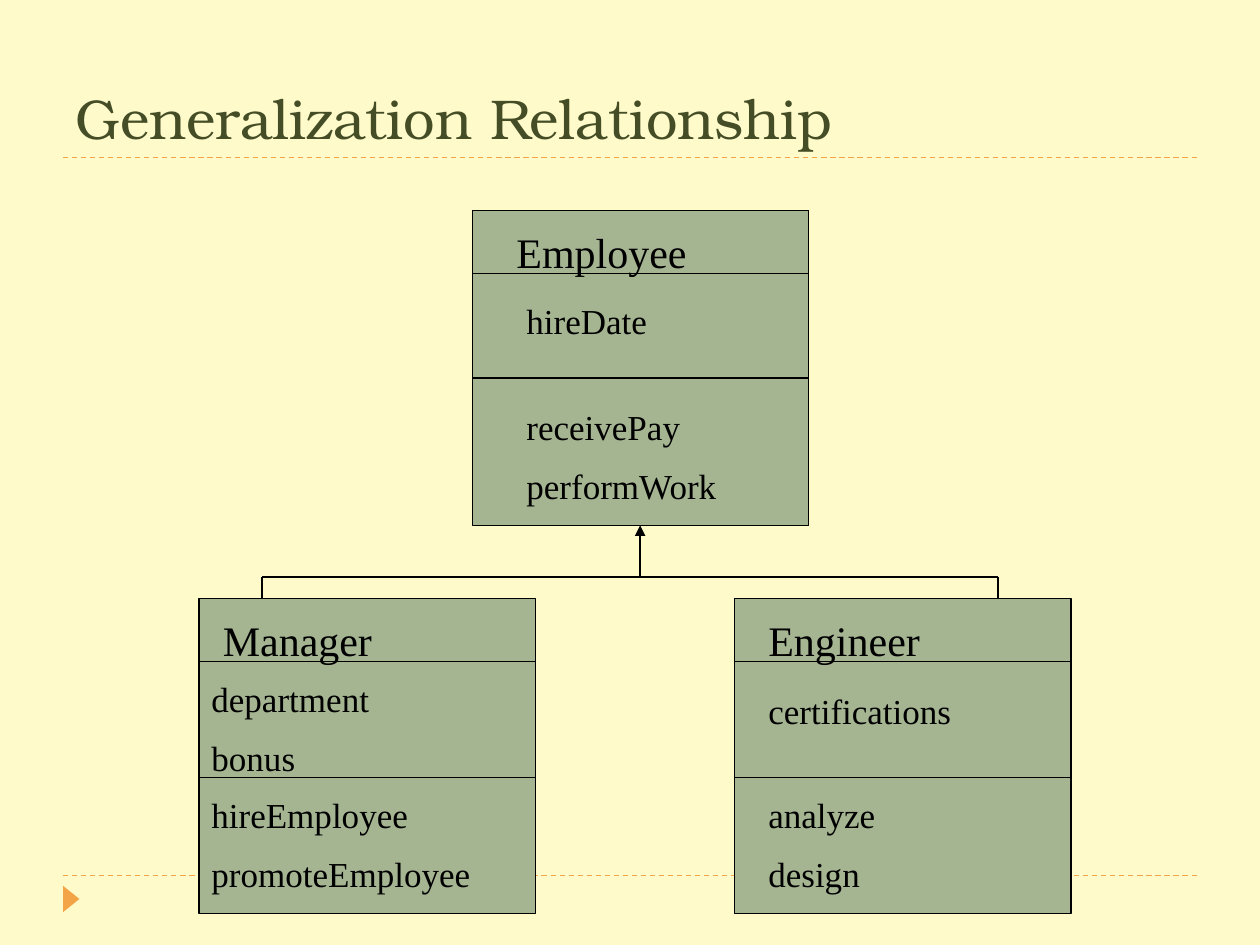
from lxml import etree
from pptx import Presentation
from pptx.dml.color import RGBColor
from pptx.enum.dml import MSO_LINE
from pptx.enum.shapes import MSO_CONNECTOR, MSO_SHAPE
from pptx.enum.text import MSO_ANCHOR, PP_ALIGN
from pptx.oxml.ns import qn
from pptx.util import Inches, Pt

STRAIGHT = MSO_CONNECTOR.STRAIGHT
RECTANGLE = MSO_SHAPE.RECTANGLE
TRIANGLE = MSO_SHAPE.ISOSCELES_TRIANGLE
DASH = MSO_LINE.DASH
BOTTOM = MSO_ANCHOR.BOTTOM
TOP = MSO_ANCHOR.TOP
LEFT = PP_ALIGN.LEFT

CREAM, ORANGE, GREEN, OLIVE, BLACK = "FEFAC9", "F3A447", "A5B592", "444D26", "000000"
TITLE_FONT = {"name": "TeX Gyre Bonum", "size": Pt(32), "bold": False}
NAME_FONT = {"name": "Times New Roman", "size": Pt(24)}
MEMBER_FONT = {"name": "Times New Roman", "size": Pt(20)}
CLASS_W, CLASS_H, NAME_H = 2.67, 2.5, 0.5

CLASSES = [
    {"box": (3.75, 1.67), "divider": 1.33, "texts": [
        (0.25, 0.08, ["Employee"], NAME_FONT),
        (0.33, 0.66, ["hireDate"], MEMBER_FONT),
        (0.33, 1.5, ["receivePay", "performWork"], MEMBER_FONT)]},
    {"box": (1.58, 4.75), "divider": 1.42, "texts": [
        (0.09, 0.08, ["Manager"], NAME_FONT),
        (0, 0.58, ["department", "bonus"], MEMBER_FONT),
        (0, 1.5, ["hireEmployee", "promoteEmployee"], MEMBER_FONT)]},
    {"box": (5.83, 4.75), "divider": 1.42, "texts": [
        (0.17, 0.08, ["Engineer"], NAME_FONT),
        (0.17, 0.67, ["certifications"], MEMBER_FONT),
        (0.17, 1.5, ["analyze", "design"], MEMBER_FONT)]},
]


def rgb(value):
    return RGBColor.from_string(value)


def style_font(font, values, color):
    for key, value in values.items():
        setattr(font, key, value)
    font.color.rgb = rgb(color)


def add_line(s, x1, y1, x2, y2, color=BLACK, dash=None, arrow=False):
    line = s.shapes.add_connector(
        STRAIGHT, Inches(x1), Inches(y1), Inches(x2), Inches(y2))
    line.line.color.rgb = rgb(color)
    line.line.width = Pt(0.75)
    if dash:
        line.line.dash_style = dash
    if arrow:
        ln = line.line._get_or_add_ln()
        etree.SubElement(ln, qn("a:tailEnd"), type="triangle")
    etree.SubElement(line._element.spPr, qn("a:effectLst"))


def add_solid(s, kind, x, y, w, h, fill, border=None):
    sp = s.shapes.add_shape(kind, Inches(x), Inches(y), Inches(w), Inches(h))
    sp.shadow.inherit = False
    sp.fill.solid()
    sp.fill.fore_color.rgb = rgb(fill)
    if border:
        sp.line.color.rgb = rgb(border)
        sp.line.width = Pt(0.75)
    else:
        sp.line.fill.background()
    return sp


def add_text(s, x, y, w, h, lines, font):
    tf = s.shapes.add_textbox(Inches(x), Inches(y), Inches(w), Inches(h)).text_frame
    tf.word_wrap = True
    tf.vertical_anchor = TOP
    for i, text in enumerate(lines):
        p = tf.add_paragraph() if i else tf.paragraphs[0]
        if i:
            p.space_before = Pt(9.5)
        r = p.add_run()
        r.text = text
        style_font(r.font, font, BLACK)


def add_frame(s, x, w):
    for y in (6.95, 1.25):
        add_line(s, x, y, x + w, y, ORANGE, DASH)
    add_solid(s, TRIANGLE, 0.46, 7.07, 0.21, 0.13, ORANGE).rotation = 90


def add_title(s, x, y, w, h, text):
    title = s.shapes.title
    title.left, title.top, title.width, title.height = map(Inches, (x, y, w, h))
    tf = title.text_frame
    tf.text = text
    tf.vertical_anchor = BOTTOM
    p = tf.paragraphs[0]
    p.alignment = LEFT
    style_font(p.runs[0].font, TITLE_FONT, OLIVE)


def add_class(s, x, y, divider, texts):
    add_solid(s, RECTANGLE, x, y, CLASS_W, CLASS_H, GREEN, BLACK)
    for dy in (NAME_H, divider):
        add_line(s, x, y + dy, x + CLASS_W, y + dy)
    for dx, dy, lines, font in texts:
        height = 0.43 if len(lines) == 1 else 0.93
        add_text(s, x + dx, y + dy, CLASS_W - dx, height, lines, font)


def add_generalization(s, left, right, parent_x, parent_y, bus_y, child_y):
    for x in (left, right):
        add_line(s, x, child_y, x, bus_y)
    add_line(s, left, bus_y, right, bus_y)
    add_line(s, parent_x, bus_y, parent_x, parent_y, arrow=True)


def main():
    prs = Presentation()
    prs.slide_width, prs.slide_height = Inches(10), Inches(7.5)
    s = prs.slides.add_slide(prs.slide_layouts[5])
    s.background.fill.solid()
    s.background.fill.fore_color.rgb = rgb(CREAM)
    add_frame(s, 0.5, 9)
    add_title(s, 0.5, 0.25, 9, 1, "Generalization Relationship")
    for item in CLASSES:
        add_class(s, *item["box"], item["divider"], item["texts"])
    add_generalization(s, 2.08, 7.92, 5.08, 4.17, 4.58, 4.75)
    prs.save("out.pptx")


if __name__ == "__main__":
    main()
